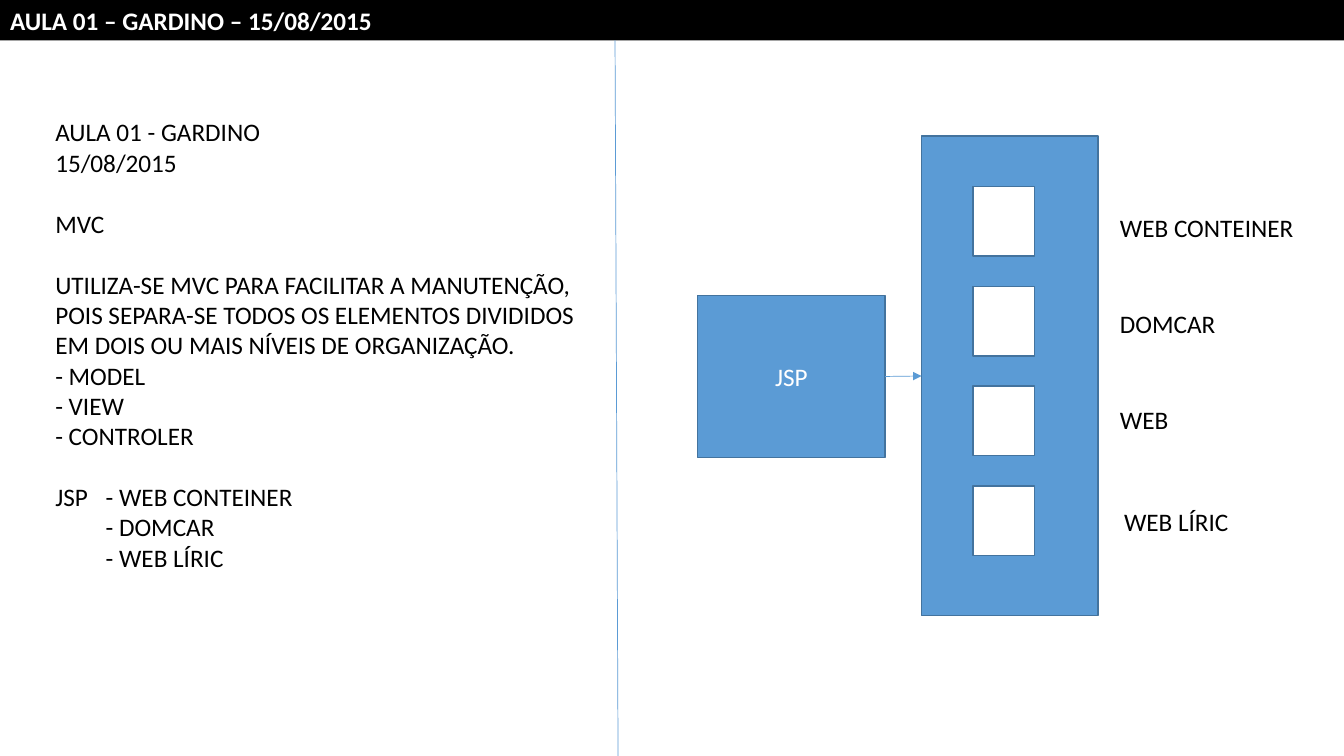
from typing import NamedTuple

from lxml.etree import SubElement
from pptx import Presentation
from pptx.dml.color import RGBColor
from pptx.enum.shapes import MSO_CONNECTOR, MSO_SHAPE
from pptx.enum.text import MSO_ANCHOR, PP_ALIGN
from pptx.oxml.ns import qn
from pptx.util import Inches, Pt

BLACK = RGBColor(0x00, 0x00, 0x00)
WHITE = RGBColor(0xFF, 0xFF, 0xFF)
BLUE = RGBColor(0x5B, 0x9B, 0xD5)
DARK_BLUE = RGBColor(0x43, 0x73, 0x9E)

FONT = "Calibri"
TEXT_SIZE = Pt(18)
LINE_GAP = Pt(22)


class Box(NamedTuple):
    """Left, top, width and height in inches."""
    left: float
    top: float
    width: float
    height: float

    def lengths(self):
        """Return the four values as lengths."""
        return [Inches(value) for value in self]


class Label(NamedTuple):
    """A caption beside the server."""
    text: str
    box: Box


NOTES = [
    ["AULA 01 - GARDINO", "15/08/2015"],
    ["MVC"],
    ["UTILIZA-SE MVC PARA FACILITAR A MANUTENÇÃO, ",
     "POIS SEPARA-SE TODOS OS ELEMENTOS DIVIDIDOS",
     "EM DOIS OU MAIS NÍVEIS DE ORGANIZAÇÃO.",
     "- MODEL", "- VIEW", "- CONTROLER"],
    ["JSP \t- WEB CONTEINER", "\t- DOMCAR", "\t- WEB LÍRIC"],
]
LABELS = [
    Label("WEB CONTEINER", Box(11.01, 2.06, 2, 0.4)),
    Label("DOMCAR", Box(11.01, 3.01, 1.15, 0.4)),
    Label("WEB", Box(11.01, 3.96, 0.75, 0.4)),
    Label("WEB LÍRIC", Box(11.05, 4.97, 1.4, 0.4)),
]
SLOT_TOP, SLOT_PITCH, SLOT_COUNT = 1.85, 0.99, 4


def write(frame, groups, *, color=BLACK, bold=False, align=PP_ALIGN.LEFT,
          anchor=MSO_ANCHOR.TOP):
    """Write groups of lines, with one line of space between groups."""
    frame.word_wrap = True
    frame.vertical_anchor = anchor
    lines = [(line, group_index > 0 and line_index == 0)
             for group_index, group in enumerate(groups)
             for line_index, line in enumerate(group)]
    for index, (line, starts_group) in enumerate(lines):
        paragraph = frame.add_paragraph() if index else frame.paragraphs[0]
        paragraph.alignment = align
        paragraph.line_spacing = 1.0
        paragraph.space_before = LINE_GAP if starts_group else Pt(0)
        run = paragraph.add_run()
        run.text = line
        run.font.name = FONT
        run.font.size = TEXT_SIZE
        run.font.bold = bold
        run.font.color.rgb = color


def add_text(slide, box, groups):
    """Add a text box."""
    write(slide.shapes.add_textbox(*box.lengths()).text_frame, groups)


def add_block(slide, box, fill=BLUE):
    """Add an outlined rectangle and return it."""
    block = slide.shapes.add_shape(MSO_SHAPE.RECTANGLE, *box.lengths())
    block.shadow.inherit = False
    block.fill.solid()
    block.fill.fore_color.rgb = fill
    block.line.color.rgb = DARK_BLUE
    block.line.width = Pt(1)
    return block


def add_line(slide, start, end, arrow=False):
    """Add a thin blue line, with an arrowhead at its end if asked."""
    points = [Inches(value) for value in (*start, *end)]
    line = slide.shapes.add_connector(MSO_CONNECTOR.STRAIGHT, *points)
    line.line.color.rgb = BLUE
    line.line.width = Pt(0.5)
    if arrow:
        SubElement(line.line._get_or_add_ln(), qn("a:tailEnd"), type="triangle")
    SubElement(line._element.spPr, qn("a:effectLst"))
    return line


def add_title(slide):
    """Turn the title placeholder into the black header bar."""
    title = slide.shapes.title
    title.left, title.top, title.width, title.height = Box(0, 0, 13.33, 0.4).lengths()
    title.fill.solid()
    title.fill.fore_color.rgb = BLACK
    write(title.text_frame, [["AULA 01 – GARDINO – 15/08/2015"]],
          color=WHITE, bold=True)


def add_diagram(slide):
    """Draw the JSP block, the server with its slots, and the labels."""
    jsp = add_block(slide, Box(6.92, 2.93, 1.86, 1.61))
    write(jsp.text_frame, [["JSP"]], color=WHITE, align=PP_ALIGN.CENTER,
          anchor=MSO_ANCHOR.MIDDLE)
    server = add_block(slide, Box(9.14, 1.35, 1.75, 4.76))
    for index in range(SLOT_COUNT):
        add_block(slide, Box(9.65, SLOT_TOP + index * SLOT_PITCH, 0.61, 0.69), WHITE)
    request = add_line(slide, (8.78, 3.73), (9.14, 3.73), arrow=True)
    request.begin_connect(jsp, 3)
    request.end_connect(server, 1)
    for label in LABELS:
        add_text(slide, label.box, [[label.text]])


def main():
    """Build and save the slide."""
    deck = Presentation()
    deck.slide_width, deck.slide_height = Inches(13.33), Inches(7.5)
    slide = deck.slides.add_slide(deck.slide_layouts.get_by_name("Title Only"))
    add_title(slide)
    add_text(slide, Box(0.45, 1.11, 5.5, 4.64), NOTES)
    add_line(slide, (6.1, 0.4), (6.13, 7.5))
    add_diagram(slide)
    deck.save("out.pptx")


main()
